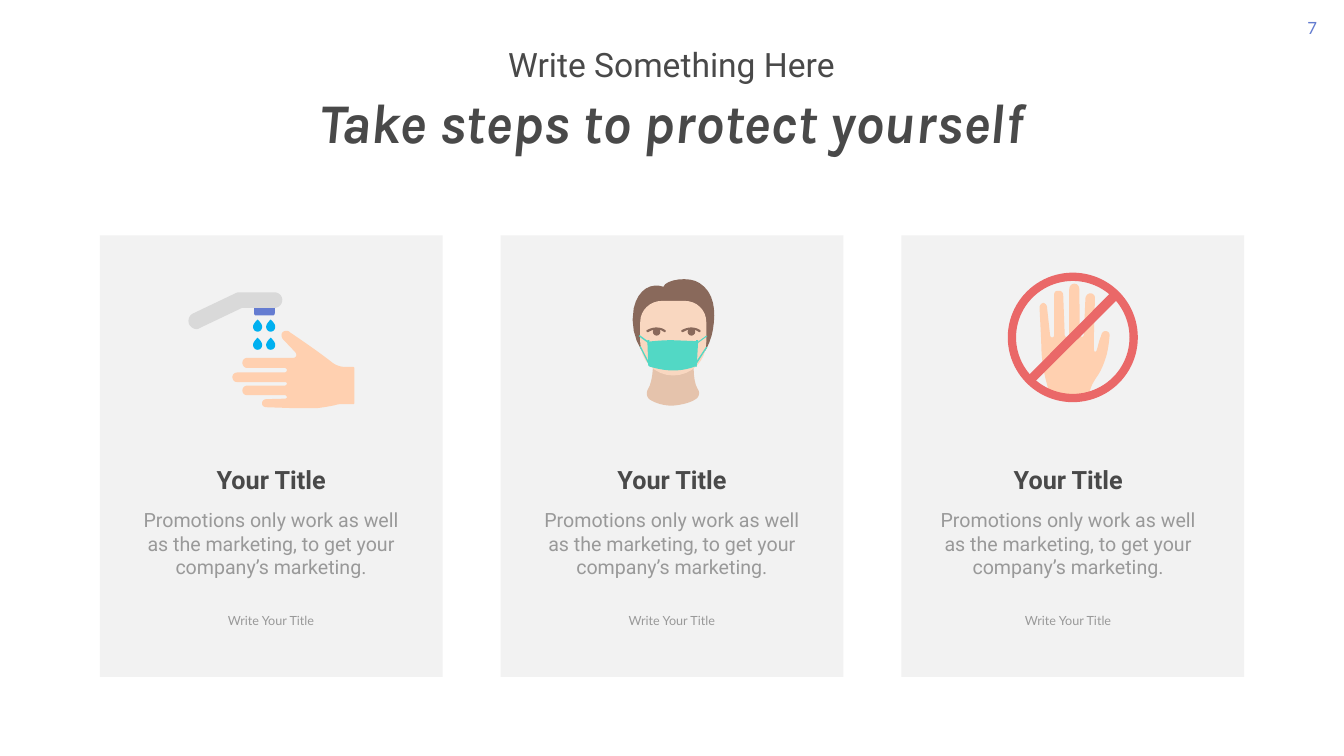
from pptx import Presentation
from pptx.dml.color import RGBColor
from pptx.enum.shapes import MSO_SHAPE
from pptx.enum.text import MSO_ANCHOR, MSO_AUTO_SIZE, PP_ALIGN
from pptx.util import Pt

PX = 9144  # EMU per px, 100 px to the inch
CURVE_STEPS = 8
LEFT, CENTER = PP_ALIGN.LEFT, PP_ALIGN.CENTER
TOP, MIDDLE = MSO_ANCHOR.TOP, MSO_ANCHOR.MIDDLE
RECT, ROUNDED = MSO_SHAPE.RECTANGLE, MSO_SHAPE.ROUNDED_RECTANGLE
OVAL, DONUT = MSO_SHAPE.OVAL, MSO_SHAPE.DONUT

DARK = RGBColor(0x49, 0x49, 0x49)
GRAY = RGBColor(0x99, 0x99, 0x99)
NUMBER_BLUE = RGBColor(0x63, 0x7C, 0xD0)
CARD = RGBColor(0xF2, 0xF2, 0xF2)
SKIN = RGBColor(0xFF, 0xD0, 0xB0)
WATER = RGBColor(0x00, 0xB0, 0xF0)
NOZZLE = RGBColor(0x65, 0x7C, 0xD1)
FAUCET = RGBColor(0xD9, 0xD9, 0xD9)
NECK = RGBColor(0xE5, 0xC3, 0xAC)
HAIR = RGBColor(0x89, 0x69, 0x5B)
FACE = RGBColor(0xF9, 0xD7, 0xC0)
MASK = RGBColor(0x52, 0xD8, 0xC5)
STOP_RED = RGBColor(0xEA, 0x68, 0x68)


def write(box, text, font, size, color, align=CENTER, anchor=TOP, bold=False, italic=False):
    frame = box.text_frame
    frame.word_wrap = True
    frame.auto_size = MSO_AUTO_SIZE.NONE
    frame.vertical_anchor = anchor
    if anchor == MIDDLE:
        frame.margin_left = frame.margin_right = frame.margin_top = frame.margin_bottom = 0
    frame.text = text
    para = frame.paragraphs[0]
    para.alignment = align
    span = para.runs[0].font
    span.name, span.size, span.color.rgb = font, Pt(size), color
    span.bold, span.italic = bold, italic


def draw(shapes, color, geometry, preset=None, dx=0, dy=0):
    """Add a preset (left, top, width, height) or an outline of points and cubic curves."""
    if preset is not None:
        shape = shapes.add_shape(preset, *[value * PX for value in geometry])
    else:
        points = [geometry[0]]
        for segment in geometry[1:]:
            if len(segment) == 2:
                points.append(segment)
                continue
            x0, y0 = points[-1]
            x1, y1, x2, y2, x3, y3 = segment
            for step in range(1, CURVE_STEPS + 1):
                t = step / CURVE_STEPS
                a, b, c, d = (1 - t) ** 3, 3 * t * (1 - t) ** 2, 3 * t * t * (1 - t), t ** 3
                points.append((a * x0 + b * x1 + c * x2 + d * x3,
                               a * y0 + b * y1 + c * y2 + d * y3))
        points = [((x + dx) * PX, (y + dy) * PX) for x, y in points]
        builder = shapes.build_freeform(*points[0])
        builder.add_line_segments(points[1:], close=True)
        shape = builder.convert_to_shape()
    shape.shadow.inherit = False
    shape.fill.solid()
    shape.fill.fore_color.rgb = color
    shape.line.fill.background()
    return shape


deck = Presentation()
deck.slide_width, deck.slide_height = 2666 * PX, 1500 * PX
page = deck.slides.add_slide(deck.slide_layouts[5])

# Page number and headings
number = page.shapes.add_textbox(2555 * PX, 25 * PX, 96 * PX, 61 * PX)
write(number, "7", "Lato", 24, NUMBER_BLUE)
number.text_frame.margin_top = 10 * PX
subtitle = page.shapes.add_textbox(720 * PX, 13 * PX, 1224 * PX, 233 * PX)
write(subtitle, "Write Something Here", "Roboto", 48, DARK, anchor=MIDDLE)
title = page.shapes.title
title.left, title.top, title.width, title.height = 520 * PX, 130 * PX, 1624 * PX, 231 * PX
write(title, "Take steps to protect yourself", "Karla", 80, DARK,
      anchor=MIDDLE, bold=True, italic=True)
for heading in (subtitle, title):
    heading.text_frame.paragraphs[0].line_spacing = 0.99

# Cards with their texts; the last column of text sits a little to the left
CARD_TEXTS = [
    (135, 916, 410, 71, "Your Title", "Roboto", 36, DARK, CENTER, True),
    (69, 1003, 541, 151, "Promotions only work as well as the marketing, "
     "to get your company’s marketing.", "Roboto", 28, GRAY, CENTER, False),
    (244, 1212, 196, 40, "Write Your Title", "Lato", 18, GRAY, LEFT, False),
]
for column, shift in enumerate((0, 0, -9)):
    card_left = 198 + 795 * column
    draw(page.shapes, CARD, (card_left, 467, 680, 876), RECT)
    for left, top, width, height, text, font, size, color, align, bold in CARD_TEXTS:
        box = page.shapes.add_textbox((card_left + left + shift) * PX, top * PX,
                                      width * PX, height * PX)
        write(box, text, font, size, color, align, bold=bold)

# Hand washing: hand, drops, nozzle, faucet
washing = page.shapes.add_group_shape().shapes
draw(washing, SKIN, [
    (700, 728), (684, 728), (676, 728, 667, 725, 660, 720), (630, 696, 576, 660, 576, 660),
    (572, 655, 564, 655, 560, 660), (556, 666, 560, 673, 566, 678), (585, 698),
    (590, 703, 588, 710, 582, 710), (491, 710), (486, 710, 482, 713, 481, 718),
    (480, 724, 484, 730, 490, 730), (564, 730), (567, 730, 569, 732, 569, 734),
    (569, 737, 567, 739, 564, 739), (471, 739), (466, 739, 462, 742, 461, 747),
    (461, 753, 464, 758, 470, 758), (565, 758), (567, 758, 569, 759, 569, 761),
    (569, 763, 567, 765, 565, 765), (491, 765), (486, 765, 482, 768, 481, 773),
    (480, 779, 484, 784, 490, 784), (565, 784), (567, 784, 569, 786, 569, 788),
    (569, 790, 567, 791, 565, 791), (529, 792), (524, 792, 520, 795, 520, 799),
    (519, 805, 524, 808, 529, 808), (588, 810), (625, 810), (631, 810, 650, 807, 664, 804),
    (667, 803, 671, 802, 675, 802), (700, 802), (703, 802, 703, 800, 703, 798),
    (703, 732), (703, 730, 703, 728, 700, 728)])
DROP = [(18, 14), (18, 20, 14, 24, 9, 24), (4, 24, 0, 20, 0, 14),
        (0, 8, 9, 0, 9, 0), (9, 0, 18, 8, 18, 14)]
for drop_left in (502, 528):
    for drop_top in (634, 670):
        draw(washing, WATER, DROP, dx=drop_left, dy=drop_top)
draw(washing, NOZZLE, (504, 593, 41, 33), ROUNDED).adjustments[0] = 0.12
draw(washing, FAUCET, [
    (390, 653), (384, 653, 378, 649, 375, 643), (372, 635, 375, 626, 383, 622), (469, 581),
    (472, 580, 474, 580, 476, 580), (544, 580), (553, 580, 560, 587, 560, 595),
    (560, 604, 553, 611, 544, 611), (480, 611), (396, 651), (395, 652, 392, 653, 390, 653)])

# Masked head: neck, hair, face, eyes, mask
head = page.shapes.add_group_shape().shapes
draw(head, NECK, [
    (1384, 772), (1372, 753, 1377, 708, 1377, 708), (1295, 708),
    (1295, 708, 1298, 753, 1285, 773), (1281, 780, 1283, 790, 1291, 794),
    (1301, 800, 1316, 805, 1334, 805), (1356, 803, 1371, 798, 1380, 792),
    (1387, 788, 1389, 778, 1384, 772)])
draw(head, HAIR, [
    (1346, 731), (1327, 731), (1286, 731, 1245, 673, 1257, 612),
    (1266, 572, 1293, 561, 1316, 569), (1320, 555, 1367, 547, 1388, 562),
    (1416, 580, 1421, 615, 1414, 655), (1409, 685, 1387, 731, 1346, 731)])
draw(head, FACE, [
    (1358, 597), (1313, 597), (1290, 597, 1270, 615, 1270, 639), (1270, 679),
    (1270, 716, 1300, 745, 1335, 745), (1372, 745, 1401, 716, 1401, 679),
    (1401, 639), (1401, 615, 1382, 597, 1358, 597)])
BROW = [(3, 16), (0, 16, 0, 13, 1, 12), (2, 12, 20, 0, 38, 12),
        (39, 13, 39, 17, 36, 16), (20, 4, 4, 16, 4, 16)]
for eye_left in (1282, 1351):
    draw(head, HAIR, BROW, dx=eye_left, dy=643)
    draw(head, HAIR, (eye_left + 13, 651, 15, 15), OVAL)
STRAPS = [
    [(1267, 667), (1269, 665), (1295, 684), (1294, 687)],
    [(1269, 688), (1271, 687), (1290, 724), (1288, 726)],
    [(1375, 685), (1401, 666), (1403, 667), (1376, 687)],
    [(1378, 722), (1400, 689), (1403, 689), (1380, 725)],
]
for strap in STRAPS:
    draw(head, MASK, strap)
draw(head, MASK, [
    (1379, 727), (1379, 727, 1359, 736, 1333, 735), (1311, 735, 1288, 727, 1288, 727),
    (1286, 678), (1286, 678, 1309, 675, 1333, 675), (1360, 676, 1383, 677, 1383, 677)])
draw(head, MASK, [(1284, 675), (1288, 675), (1292, 728), (1286, 726)])
draw(head, MASK, [(1381, 675), (1385, 675), (1382, 728), (1378, 727)])

# No touching: raised hand, ring, slash
no_touch = page.shapes.add_group_shape().shapes
draw(no_touch, SKIN, [
    (2193, 657), (2187, 657, 2185, 662, 2184, 667), (2180, 675, 2178, 688, 2175, 696),
    (2172, 700, 2170, 697, 2170, 693), (2170, 662), (2172, 591),
    (2172, 586, 2168, 582, 2163, 582), (2157, 582, 2153, 588, 2153, 593), (2150, 664),
    (2149, 670, 2143, 670, 2142, 663), (2141, 575), (2141, 569, 2138, 563, 2132, 563),
    (2126, 562, 2121, 568, 2121, 574), (2121, 664), (2121, 670, 2112, 670, 2112, 665),
    (2109, 585), (2109, 581, 2105, 577, 2102, 577), (2098, 577),
    (2093, 577, 2091, 581, 2091, 585), (2091, 665), (2091, 671, 2083, 671, 2083, 665),
    (2077, 611), (2077, 606, 2075, 603, 2070, 601), (2067, 601, 2062, 605, 2062, 610),
    (2065, 670), (2065, 670, 2066, 693, 2066, 701), (2070, 745, 2077, 760, 2079, 772),
    (2082, 790, 2084, 788, 2087, 788), (2158, 789), (2161, 789, 2158, 781, 2167, 762),
    (2175, 746, 2183, 743, 2194, 708), (2199, 692, 2201, 666, 2201, 666),
    (2201, 660, 2198, 657, 2193, 657)])
draw(no_touch, STOP_RED, (1999, 541, 258, 257), DONUT).adjustments[0] = 0.064
draw(no_touch, STOP_RED, [(2051, 759), (2038, 747), (2205, 579), (2219, 592)])

deck.save("out.pptx")
